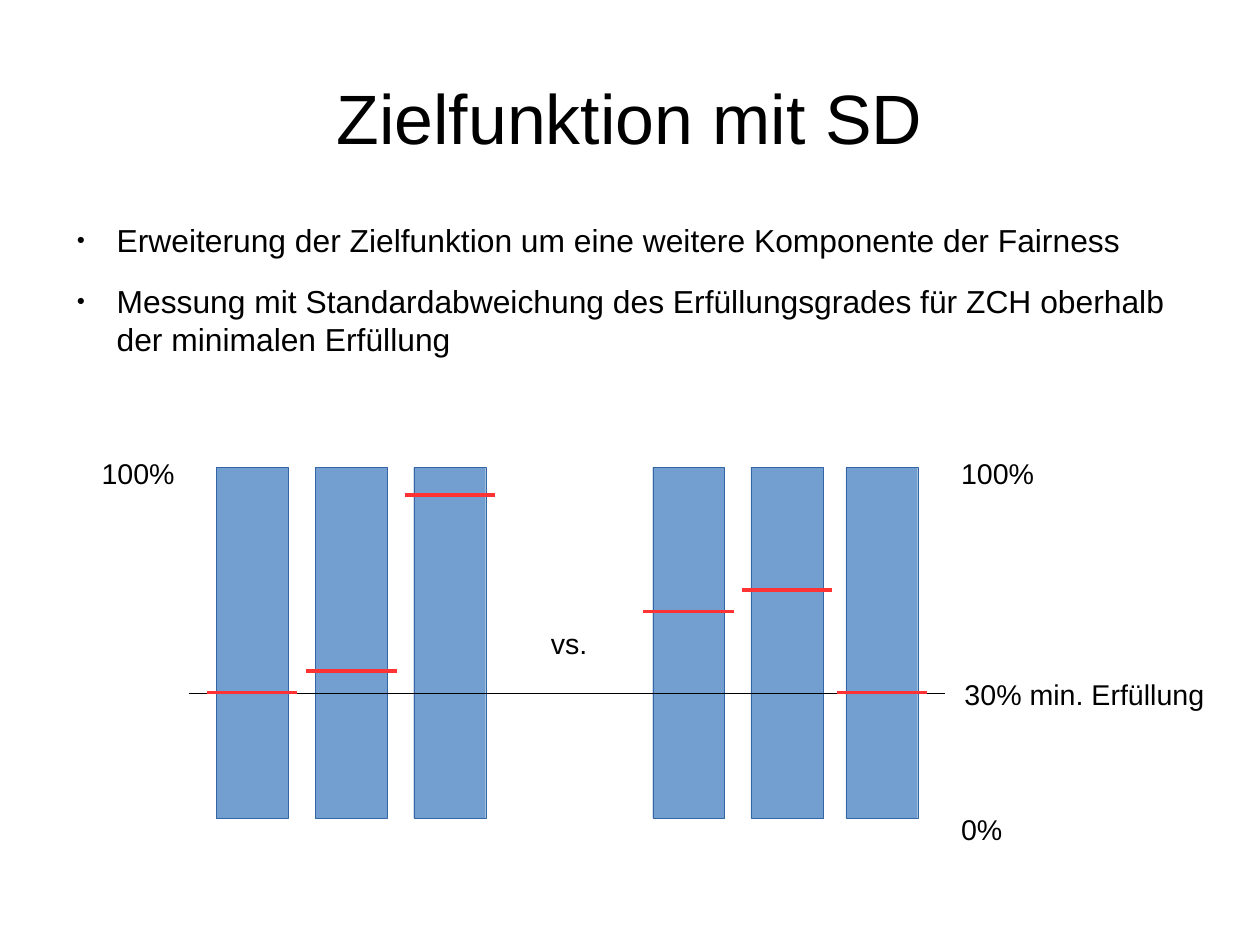
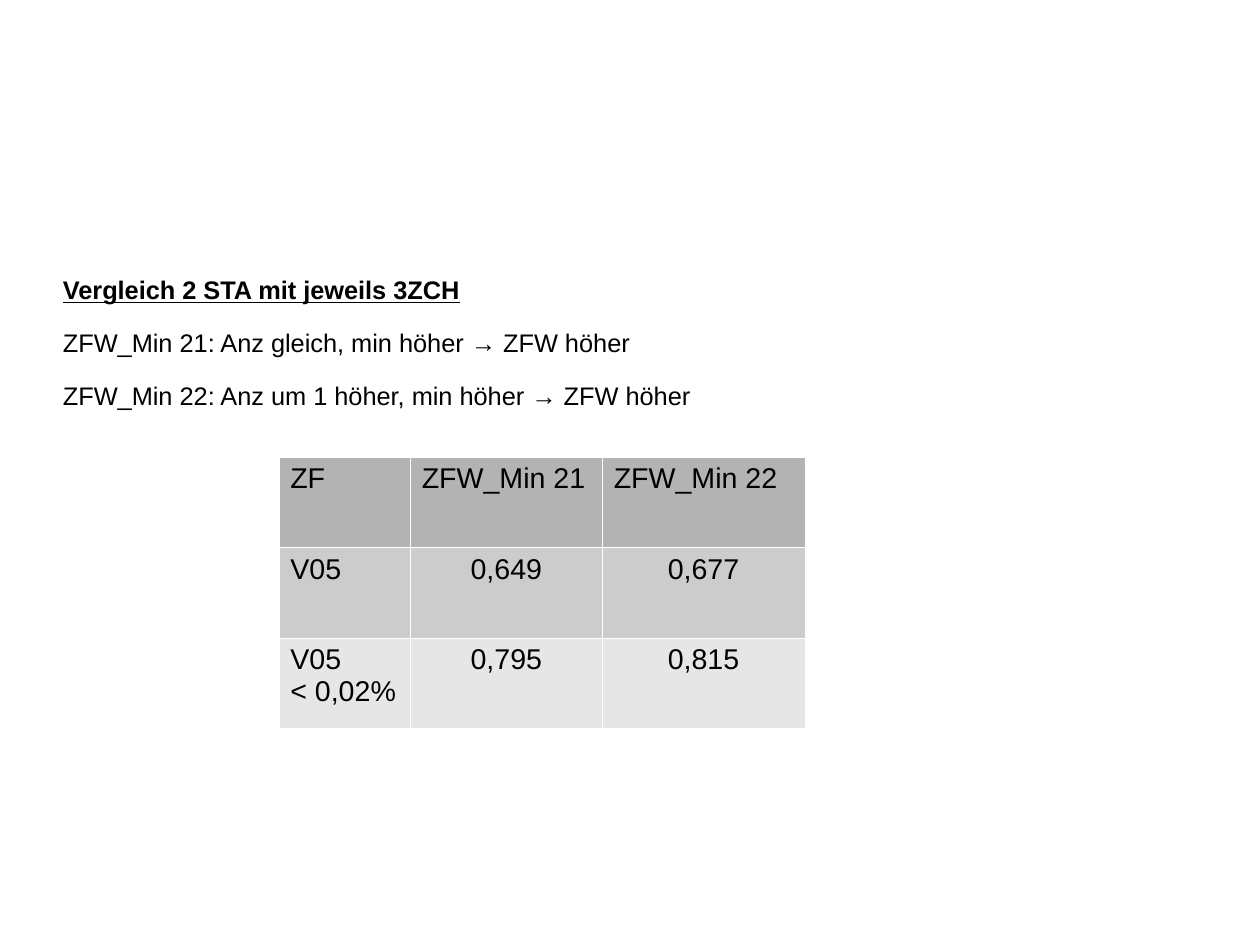
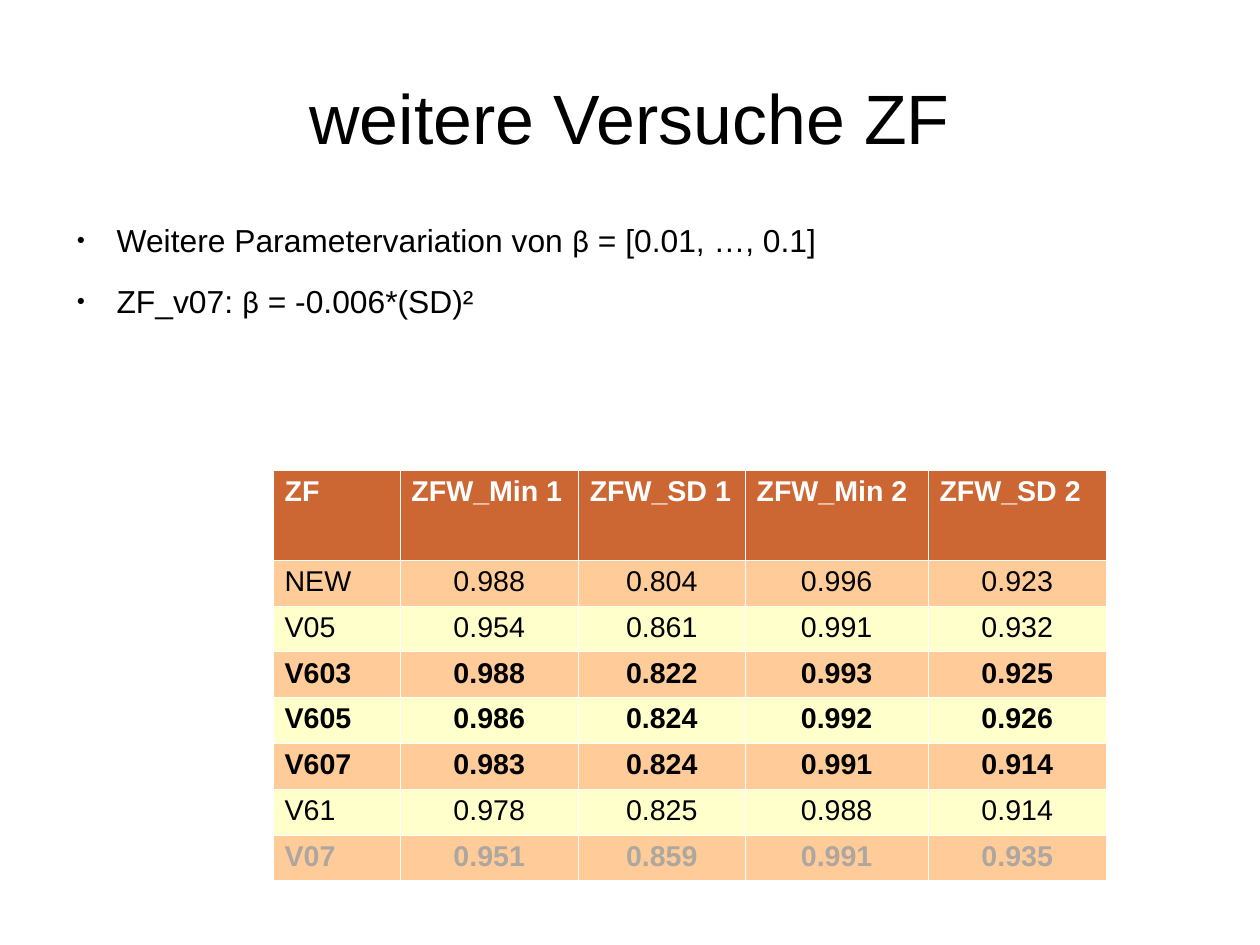
"""Build three slides about an objective function with a standard deviation term."""
import pptx
import pptx.dml.color
import pptx.enum.shapes
import pptx.enum.text
import pptx.oxml
import pptx.oxml.ns
import pptx.util

Inches, Pt = pptx.util.Inches, pptx.util.Pt
ALIGN, ANCHOR = pptx.enum.text.PP_ALIGN, pptx.enum.text.MSO_ANCHOR
NS = pptx.oxml.ns.nsdecls("a")

FONT = "Arial"
BLACK, WHITE, GREY = "000000", "FFFFFF", "AEA79F"
BAR_FILL, BAR_LINE, MARK = "729FCF", "3465A4", "FF3333"
GREYS = ["B3B3B3", "CCCCCC", "E6E6E6"]
RUST, ORANGE, YELLOW = "CC6633", "FFCC99", "FFFFCC"

BASE = {"name": FONT, "size": Pt(18), "color": BLACK}
TITLE = {**BASE, "size": Pt(44)}
BULLET = {**BASE, "size": Pt(20)}
NOTE = {**BASE, "size": Pt(16)}
HEADING = {**NOTE, "bold": True, "underline": True}
BOLD = {**BASE, "bold": True}
BETA = ("β", {"name": "Calibri"})

NO_INSETS = dict.fromkeys(["margin_left", "margin_top", "margin_right", "margin_bottom"], 0)
MARGIN, BODY_TOP, BODY_W = 0.55, 1.93, 9.92
GAP = Pt(14.2)
HAIRLINE, MARK_LINE = 0.06, 2.3
BAR_TOP, BAR_W, BAR_H = 4.09, 0.63, 3.07
MARK_OVERHANG, MIN_LEVEL = 0.08, 6.06


def rgb(color):
    """Turn a hex string into a colour."""
    return pptx.dml.color.RGBColor.from_string(color)


def set_attrs(obj, values):
    """Set attributes of an object from a dict."""
    for name, value in values.items():
        if name == "color":
            obj.color.rgb = rgb(value)
        else:
            setattr(obj, name, value)


def write(p, runs, fmt):
    """Write a string or (text, changes) runs into a paragraph."""
    if isinstance(runs, str):
        runs = [(runs, {})]
    for text, changes in runs:
        for i, line in enumerate(text.split("\n")):
            if i:
                p.add_line_break()
            r = p.add_run()
            r.text = line
            set_attrs(r.font, {**fmt, **changes})
    p._p.append(pptx.oxml.parse_xml(
        f'<a:endParaRPr {NS} sz="{int(fmt["size"].pt * 100)}">'
        f'<a:latin typeface="{FONT}"/></a:endParaRPr>'))


def add_text(s, box, paragraphs, frame, para):
    """Add a text box of (runs, format) paragraphs and return its frame."""
    tf = s.shapes.add_textbox(*map(Inches, box)).text_frame
    set_attrs(tf, {"word_wrap": True, **frame})
    for i, (runs, fmt) in enumerate(paragraphs):
        p = tf.add_paragraph() if i else tf.paragraphs[0]
        set_attrs(p, para)
        write(p, runs, fmt)
    return tf


def add_title(s, text):
    """Add the centred slide title."""
    add_text(s, (MARGIN, 0.33, BODY_W, 1.38), [(text, TITLE)],
             {**NO_INSETS, "vertical_anchor": ANCHOR.MIDDLE}, {"alignment": ALIGN.CENTER})


def add_bullets(s, items):
    """Add the bulleted body text."""
    tf = add_text(s, (MARGIN, BODY_TOP, BODY_W, 4.79), [(runs, BULLET) for runs in items],
                  NO_INSETS, {"space_before": GAP})
    for p in tf.paragraphs:
        pPr = p._p.get_or_add_pPr()
        pPr.set("marL", str(Inches(0.47)))
        pPr.set("indent", str(Inches(-0.35)))
        for xml in (f'<a:buClr {NS}><a:srgbClr val="{BLACK}"/></a:buClr>',
                    f'<a:buSzPct {NS} val="45000"/>',
                    f'<a:buFont {NS} typeface="{FONT}"/>',
                    f'<a:buChar {NS} char="●"/>'):
            pPr.append(pptx.oxml.parse_xml(xml))


def add_label(s, left, top, width, text):
    """Add a one-line label."""
    add_text(s, (left, top, width, 0.38), [(text, BASE)], {"word_wrap": False}, {})


def add_line(s, left, right, y, color, width):
    """Add a horizontal line without a shadow."""
    c = s.shapes.add_connector(pptx.enum.shapes.MSO_CONNECTOR.STRAIGHT,
                               *map(Inches, (left, y, right, y)))
    set_attrs(c.line, {"color": color, "width": Pt(width)})
    c._element.spPr.append(pptx.oxml.parse_xml(f"<a:effectLst {NS}/>"))


def add_bar(s, left):
    """Add one full-height bar."""
    sp = s.shapes.add_shape(pptx.enum.shapes.MSO_SHAPE.RECTANGLE,
                            *map(Inches, (left, BAR_TOP, BAR_W, BAR_H)))
    sp.shadow.inherit = False
    sp.fill.solid()
    sp.fill.fore_color.rgb = rgb(BAR_FILL)
    set_attrs(sp.line, {"color": BAR_LINE, "width": Pt(HAIRLINE)})


def style_cell(cell, color):
    """Fill a cell and give it thin white borders."""
    cell.fill.solid()
    cell.fill.fore_color.rgb = rgb(color)
    tcPr = cell._tc.get_or_add_tcPr()
    for i, side in enumerate("LRTB"):
        tcPr.insert(i, pptx.oxml.parse_xml(
            f'<a:ln{side} {NS} w="{Pt(HAIRLINE)}"><a:solidFill>'
            f'<a:srgbClr val="{WHITE}"/></a:solidFill></a:ln{side}>'))


def add_table(s, left, top, widths, heights, rows):
    """Add a table of (fill, format, texts) rows."""
    table = s.shapes.add_table(len(rows), len(widths), *map(
        Inches, (left, top, sum(widths), sum(heights)))).table
    set_attrs(table, {"first_row": False, "horz_banding": False})
    for col, width in zip(table.columns, widths):
        col.width = Inches(width)
    for i, (fill, fmt, texts) in enumerate(rows):
        table.rows[i].height = Inches(heights[i])
        for j, text in enumerate(texts):
            cell = table.cell(i, j)
            style_cell(cell, fill)
            p = cell.text_frame.paragraphs[0]
            p.alignment = ALIGN.CENTER if i and j else ALIGN.LEFT
            write(p, text, fmt)


def build_deviation(s):
    """Compare two sets of bars with different spread."""
    add_title(s, "Zielfunktion mit SD")
    add_bullets(s, [
        "Erweiterung der Zielfunktion um eine weitere Komponente der Fairness",
        "Messung mit Standardabweichung des Erfüllungsgrades für ZCH oberhalb "
        "der minimalen Erfüllung"])
    bars = [(1.89, MIN_LEVEL), (2.76, 5.87), (3.62, 4.33),
            (5.71, 5.35), (6.57, 5.16), (7.4, MIN_LEVEL)]
    for left, _ in bars:
        add_bar(s, left)
    add_line(s, 1.65, 8.27, MIN_LEVEL, BLACK, HAIRLINE)
    for left, level in bars:
        add_line(s, left - MARK_OVERHANG, left + BAR_W + MARK_OVERHANG,
                 level, MARK, MARK_LINE)
    for label in [(0.79, 3.94, 0.84, "100%"), (8.31, 3.94, 0.84, "100%"),
                  (8.31, 7.05, 0.56, "0%"), (4.72, 5.43, 0.52, "vs."),
                  (8.34, 5.87, 2.3, "30% min. Erfüllung")]:
        add_label(s, *label)


def build_comparison(s):
    """Compare the objective values of two stations."""
    add_text(s, (MARGIN, 2.4, BODY_W, 4.32), [
        ("Vergleich 2 STA mit jeweils 3ZCH", HEADING),
        ("ZFW_Min 21: Anz gleich, min höher → ZFW höher", NOTE),
        ("ZFW_Min 22: Anz um 1 höher, min höher → ZFW höher", NOTE)],
        NO_INSETS, {"space_before": GAP})
    texts = [["ZF", "ZFW_Min 21", "ZFW_Min 22"],
             ["V05", "0,649", "0,677"],
             ["V05\n< 0,02%", "0,795", "0,815"]]
    add_table(s, 2.44, 4, [1.15, 1.68, 1.77], [0.79] * 3,
              [(fill, BASE, row) for fill, row in zip(GREYS, texts)])


def build_variation(s):
    """List the results of the parameter variation."""
    add_title(s, "weitere Versuche ZF")
    add_bullets(s, [
        [("Weitere Parametervariation von ", {}), BETA, (" = [0.01, …, 0.1]", {})],
        [("ZF_v07: ", {}), BETA, (" = -0.006*(SD)²", {})]])
    results = [(BASE, "NEW 0.988 0.804 0.996 0.923"),
               (BASE, "V05 0.954 0.861 0.991 0.932"),
               (BOLD, "V603 0.988 0.822 0.993 0.925"),
               (BOLD, "V605 0.986 0.824 0.992 0.926"),
               (BOLD, "V607 0.983 0.824 0.991 0.914"),
               (BASE, "V61 0.978 0.825 0.988 0.914"),
               ({**BOLD, "color": GREY}, "V07 0.951 0.859 0.991 0.935")]
    rows = [(RUST, {**BOLD, "color": WHITE},
             ["ZF", "ZFW_Min 1", "ZFW_SD 1", "ZFW_Min 2", "ZFW_SD 2"])]
    rows += [(YELLOW if i % 2 else ORANGE, fmt, line.split())
             for i, (fmt, line) in enumerate(results)]
    add_table(s, 2.39, 4.11, [1.11, 1.56, 1.46, 1.6, 1.56],
              [0.79] + [0.38] * len(results), rows)


def main():
    """Build and save the presentation."""
    prs = pptx.Presentation()
    prs.slide_width = pptx.util.Cm(28)
    prs.slide_height = pptx.util.Cm(21)
    for build in (build_deviation, build_comparison, build_variation):
        build(prs.slides.add_slide(prs.slide_layouts[6]))
    prs.save("out.pptx")


if __name__ == "__main__":
    main()
